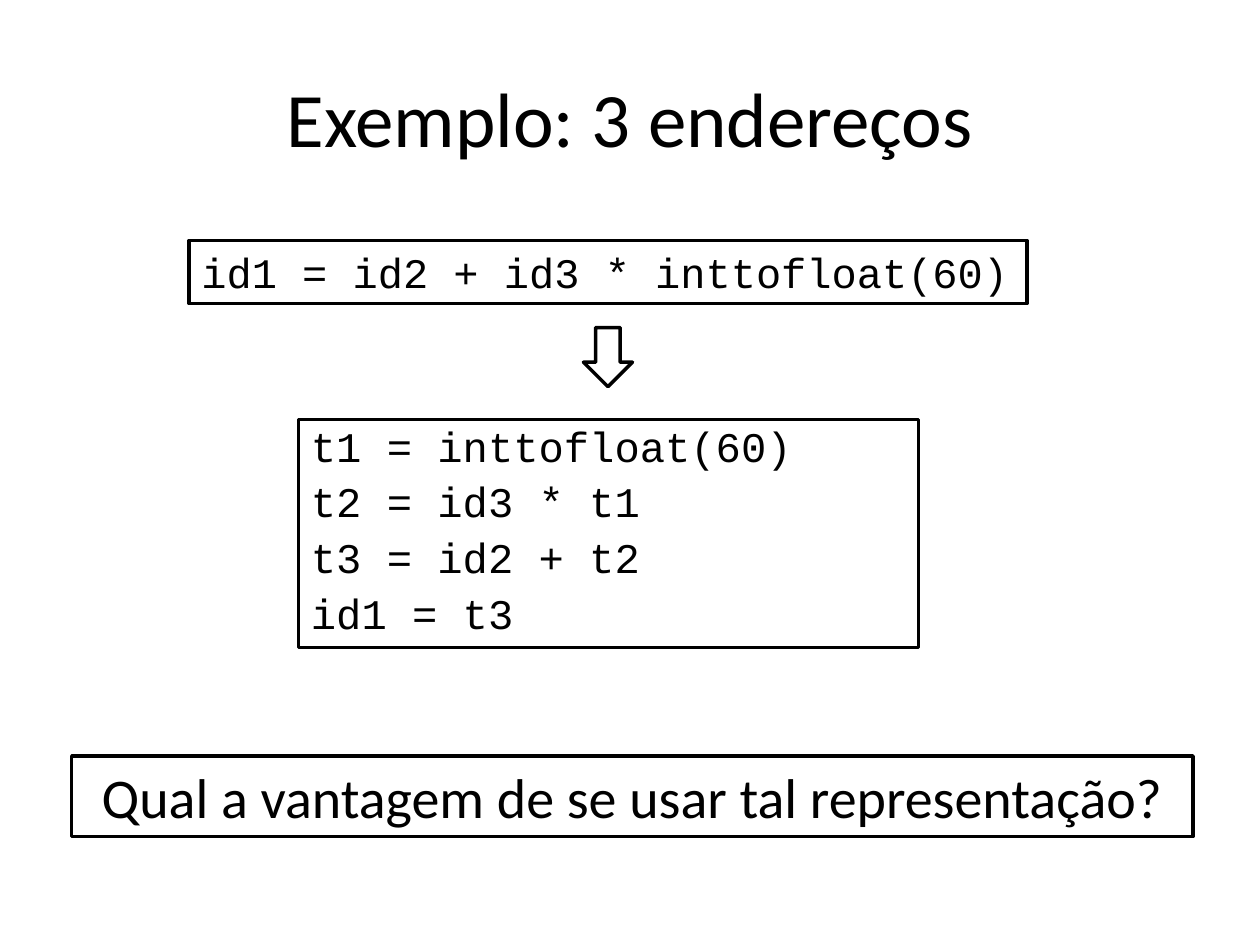
from pptx import Presentation
from pptx.dml.color import RGBColor
from pptx.enum import shapes, text
from pptx.util import Pt

BLACK = RGBColor(0, 0, 0)
WHITE = RGBColor(255, 255, 255)
BODY_FONT = "Calibri"
CODE_FONT = "Courier New"
SHAPE = shapes.MSO_SHAPE
ALIGN = text.PP_ALIGN
ANCHOR = text.MSO_ANCHOR


def format_text(tf, font, size, align):
    for p in tf.paragraphs:
        p.alignment = align
        for r in p.runs:
            r.font.name = font
            r.font.size = Pt(size)
            r.font.color.rgb = BLACK


def place_title(s, box, title):
    sp = s.shapes.title
    sp.left, sp.top, sp.width, sp.height = map(Pt, box)
    tf = sp.text_frame
    tf.text = title
    tf.vertical_anchor = ANCHOR.MIDDLE
    format_text(tf, BODY_FONT, 44, ALIGN.CENTER)


def add_outlined(s, kind, box):
    """Add a white shape with a black outline."""
    sp = s.shapes.add_shape(kind, *map(Pt, box))
    sp.shadow.inherit = False
    sp.fill.solid()
    sp.fill.fore_color.rgb = WHITE
    sp.line.color.rgb = BLACK
    sp.line.width = Pt(2)
    return sp


def add_text_box(s, box, content, font, size, align=ALIGN.LEFT, wrap=True):
    tf = add_outlined(s, SHAPE.RECTANGLE, box).text_frame
    tf.text = content
    tf.word_wrap = wrap
    tf.vertical_anchor = ANCHOR.TOP
    format_text(tf, font, size, align)
    return tf


def add_code_block(s, box, lines):
    tf = add_text_box(s, box, "\n".join(lines), CODE_FONT, 24.1)
    for p in tf.paragraphs:
        p.line_spacing = 0.9
        p.space_before = Pt(5.8)


def main():
    prs = Presentation()
    prs.slide_width, prs.slide_height = Pt(720), Pt(540)
    s = prs.slides.add_slide(prs.slide_layouts[5])

    place_title(s, (36, 21.6, 648, 90), "Exemplo: 3 endereços")
    add_outlined(s, SHAPE.DOWN_ARROW, (333.4, 187.2, 28, 33.8))
    add_text_box(s, (41, 432, 640.8, 46),
                 "Qual a vantagem de se usar tal representação?",
                 BODY_FONT, 32, ALIGN.CENTER)
    add_code_block(s, (170.6, 239.8, 354.2, 130.3), [
        "t1 = inttofloat(60)",
        "t2 = id3 * t1",
        "t3 = id2 + t2",
        "id1 = t3",
    ])
    add_text_box(s, (108, 137.5, 478.8, 36),
                 "id1 = id2 + id3 * inttofloat(60)",
                 CODE_FONT, 24, wrap=False)

    prs.save("out.pptx")


if __name__ == "__main__":
    main()
